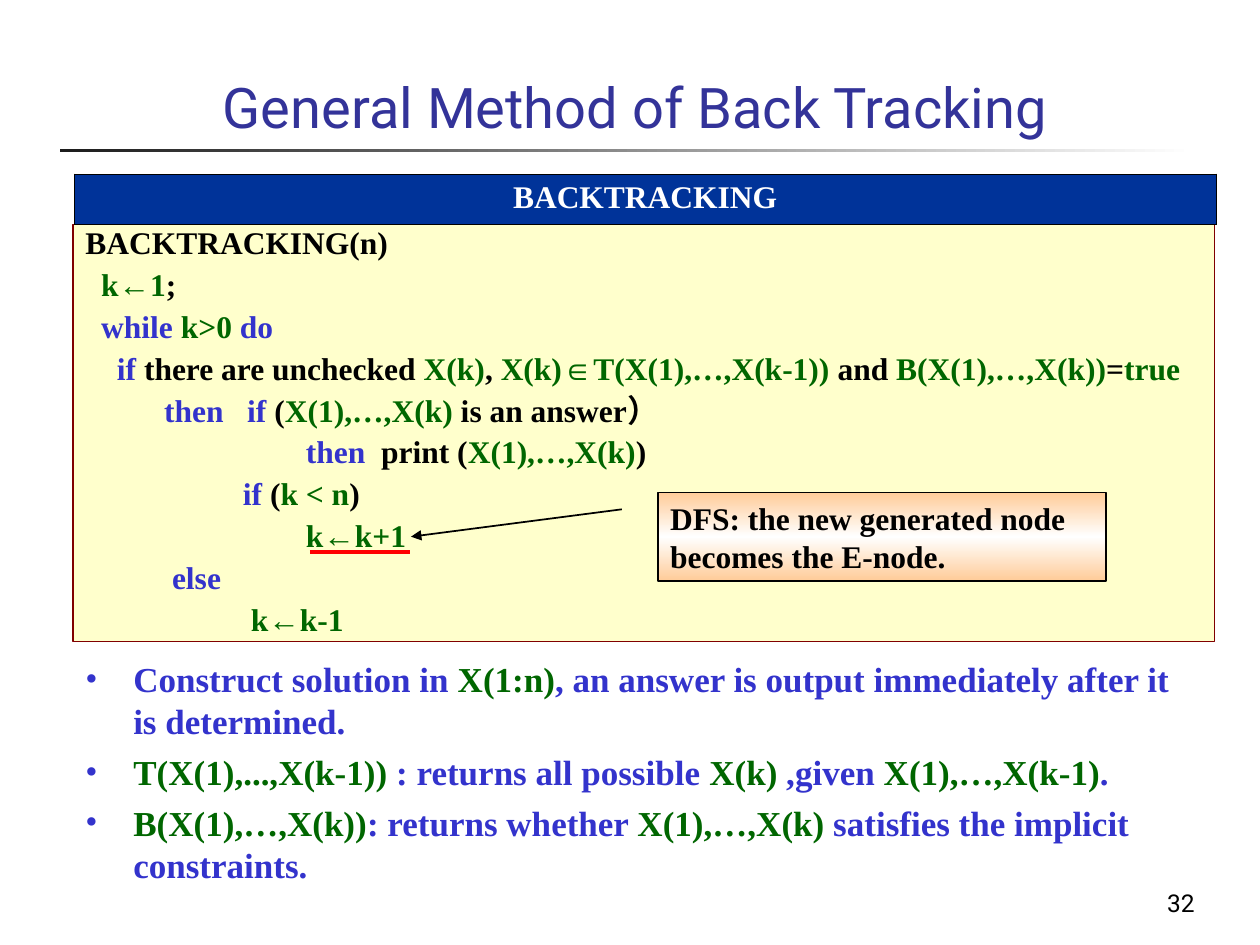
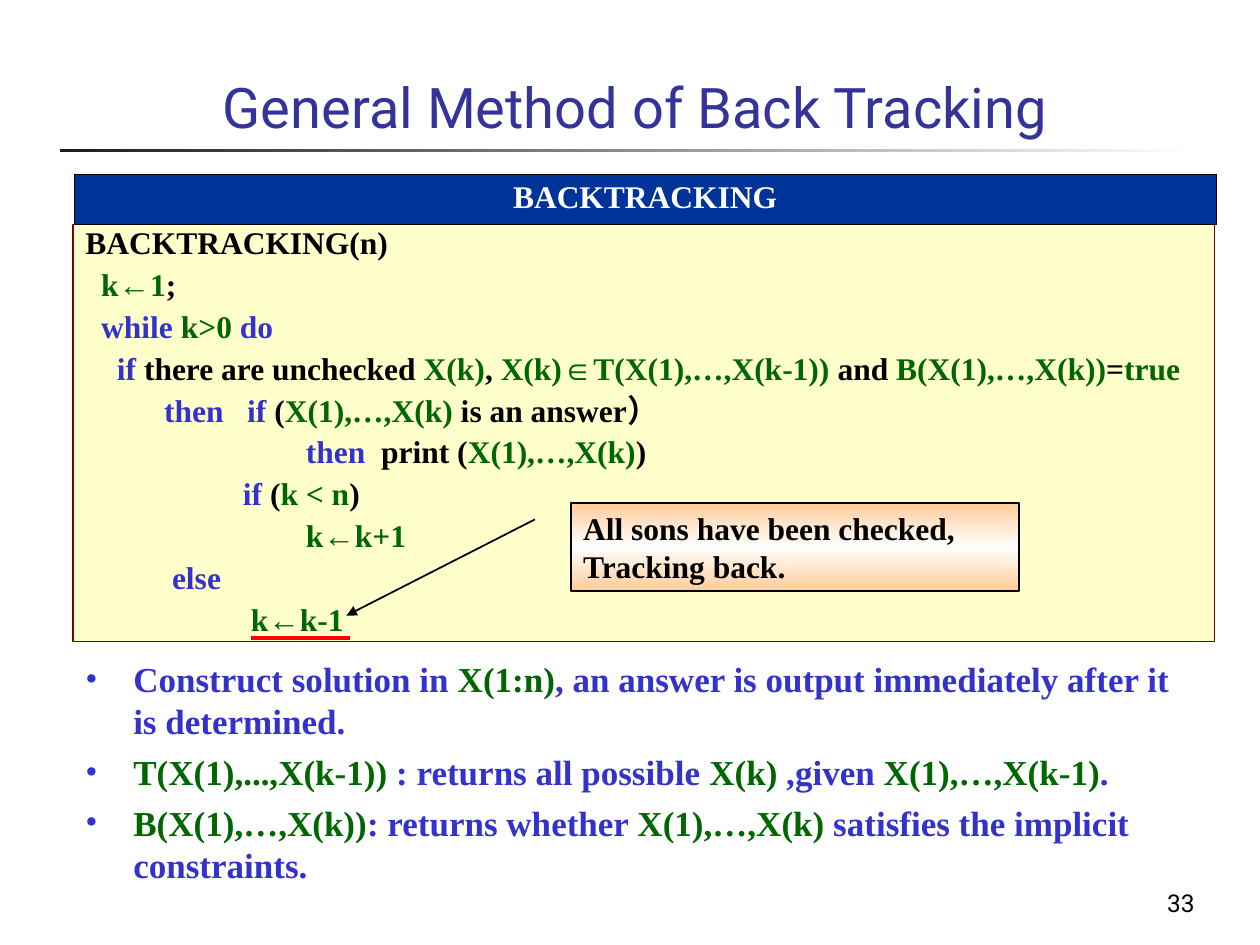
from dataclasses import dataclass
from typing import NamedTuple

from lxml import etree
from pptx import Presentation
from pptx import util as u
from pptx.dml.color import RGBColor
from pptx.enum import shapes, text
from pptx.oxml.ns import qn

SERIF, SANS, ARROW = "Times New Roman", "Roboto", "Arial"
INK, BLUE, GREEN, RED = "000000", "3333CC", "006600", "FF0000"
WHITE, TITLE, NAVY, CREAM, MAROON, PEACH = (
    "FFFFFF", "333399", "003399", "FFFFCC", "800000", "FFCC99")


class Box(NamedTuple):
    x: float
    y: float
    w: float
    h: float

    def place(self) -> list:
        return [u.Inches(n) for n in self]


class Run(NamedTuple):
    text: str
    color: str = INK
    font: str = SERIF


@dataclass
class Style:
    size: int
    bold: bool = True
    align: text.PP_ALIGN = text.PP_ALIGN.LEFT
    gap: float = 0
    lead: float = 1.0


@dataclass
class Step:
    """What differs from slide to slide."""
    number: int
    note: str
    box: Box
    tip: tuple[float, float]  # callout arrow end: down, across
    mark: tuple[float, float]  # left end of the red underline


def assign(left: str, right: str) -> list[Run]:
    return [Run(left, GREEN), Run("←", GREEN, ARROW), Run(right, GREEN)]


CODE = [
    [Run("BACKTRACKING(n)")],
    [Run("  "), *assign("k", "1"), Run(";")],
    [Run("  "), Run("while ", BLUE), Run("k>0 ", GREEN), Run("do", BLUE)],
    [Run("    "), Run("if", BLUE), Run(" there are unchecked "),
     Run("X(k)", GREEN), Run(", "), Run("X(k)∈T(X(1),…,X(k-1))", GREEN),
     Run(" and "), Run("B(X(1),…,X(k))", GREEN), Run("="), Run("true", GREEN)],
    [Run("          "), Run("then   if", BLUE), Run(" ("),
     Run("X(1),…,X(k)", GREEN), Run(" is an answer）")],
    [Run("                            "), Run("then", BLUE),
     Run("  print ("), Run("X(1),…,X(k)", GREEN), Run(")")],
    [Run("                    "), Run("if", BLUE), Run(" ("),
     Run("k < n", GREEN), Run(")")],
    [Run("\t            "), *assign("k", "k+1")],
    [Run("           "), Run("else", BLUE)],
    [Run("\t     "), *assign("k", "k-1")],
]
POINTS = [
    [Run("Construct solution in ", BLUE), Run("X(1:n)", GREEN),
     Run(", an answer is output immediately after it is determined.", BLUE)],
    [Run("T(X(1),...,X(k-1))", GREEN), Run(" : returns all possible ", BLUE),
     Run("X(k)", GREEN), Run(" ,given ", BLUE), Run("X(1),…,X(k-1)", GREEN),
     Run(".", BLUE)],
    [Run("B(X(1),…,X(k))", GREEN), Run(": returns whether ", BLUE),
     Run("X(1),…,X(k)", GREEN),
     Run(" satisfies the implicit constraints.", BLUE)],
]
STEPS = [
    Step(32, "DFS: the new generated node becomes the E-node.",
         Box(5.22, 3.91, 3.56, 0.7), (0.5, -0.55), (2.46, 4.38)),
    Step(33, "All sons have been checked, Tracking back.",
         Box(4.53, 3.99, 3.56, 0.7), (1.28, -0.5), (1.99, 5.06)),
]


def rgb(code: str) -> RGBColor:
    return RGBColor.from_string(code)


def child(parent, tag: str, **attrs: str):
    return etree.SubElement(parent, qn(tag), attrs)


def write(frame, lines: list[list[Run]], style: Style,
          anchor=text.MSO_ANCHOR.TOP) -> None:
    frame.word_wrap = True
    frame.vertical_anchor = anchor
    for i, line in enumerate(lines):
        para = frame.add_paragraph() if i else frame.paragraphs[0]
        para.alignment = style.align
        para.line_spacing = style.lead
        para.space_before = u.Pt(style.gap if i else 0)
        for part in line:
            run = para.add_run()
            run.text = part.text
            run.font.size, run.font.bold = u.Pt(style.size), style.bold
            run.font.name = part.font
            run.font.color.rgb = rgb(part.color)


def add_text(slide, box: Box, lines: list[list[Run]], style: Style,
             anchor=text.MSO_ANCHOR.TOP):
    frame = slide.shapes.add_textbox(*box.place()).text_frame
    write(frame, lines, style, anchor)
    return frame


def add_shape(slide, kind, box: Box, line: str = "", width: float = 1):
    shape = slide.shapes.add_shape(kind, *box.place())
    shape.shadow.inherit = False
    if line:
        shape.line.color.rgb = rgb(line)
        shape.line.width = u.Pt(width)
    else:
        shape.line.fill.background()
    return shape


def blend(shape, colors: list[str], angle: int) -> None:
    """Fill with evenly spaced gradient stops."""
    shape.fill.gradient()
    shape.fill.gradient_angle = angle
    stops = shape._element.spPr.find(qn("a:gradFill")).find(qn("a:gsLst"))
    for old in list(stops):
        stops.remove(old)
    for i, color in enumerate(colors):
        stop = child(stops, "a:gs", pos=str(100000 * i // (len(colors) - 1)))
        child(stop, "a:srgbClr", val=color)


def add_frame(slide) -> None:
    # Title and fading rule
    rule = add_shape(slide, shapes.MSO_SHAPE.RECTANGLE,
                     Box(0.48, 1.18, 9, 0.03))
    blend(rule, [WHITE, "1C1C1C"], 180)
    add_text(slide, Box(1.67, 0.17, 7.86, 0.99),
             [[Run("General Method of Back Tracking", TITLE, SANS)]],
             Style(32, bold=False), text.MSO_ANCHOR.BOTTOM)


def add_code(slide) -> None:
    panel = add_shape(slide, shapes.MSO_SHAPE.RECTANGLE,
                      Box(0.58, 1.78, 9.06, 3.31), MAROON, 0.75)
    panel.fill.solid()
    panel.fill.fore_color.rgb = rgb(CREAM)
    write(panel.text_frame, CODE, Style(18, gap=4.5, lead=0.9),
          text.MSO_ANCHOR.MIDDLE)
    for para in panel.text_frame.paragraphs:
        tabs = child(para._p.get_or_add_pPr(), "a:tabLst")
        child(tabs, "a:tab", pos=str(u.Inches(1)), algn="l")


def add_head(slide) -> None:
    # One-cell table above the code
    table = slide.shapes.add_table(
        1, 1, *Box(0.59, 1.38, 9.06, 0.4).place()).table
    cell = table.cell(0, 0)
    cell.fill.solid()
    cell.fill.fore_color.rgb = rgb(NAVY)
    write(cell.text_frame, [[Run("BACKTRACKING", WHITE)]],
          Style(18, align=text.PP_ALIGN.CENTER))
    props = cell._tc.get_or_add_tcPr()
    for i, side in enumerate("LRTB"):
        edge = etree.Element(qn(f"a:ln{side}"), w=str(u.Pt(0.45)))
        child(child(edge, "a:solidFill"), "a:srgbClr", val=INK)
        props.insert(i, edge)


def add_points(slide) -> None:
    frame = add_text(slide, Box(0.58, 5.17, 9, 1.97), POINTS,
                     Style(20, gap=5))
    for para in frame.paragraphs:
        props = para._p.get_or_add_pPr()
        props.set("marL", str(u.Inches(0.38)))
        props.set("indent", str(u.Inches(-0.38)))
        child(child(props, "a:buClr"), "a:srgbClr", val=BLUE)
        child(props, "a:buFont", typeface=SERIF)
        child(props, "a:buChar", char="•")


def add_note(slide, step: Step) -> None:
    # Callout with arrow, and underline of the line it explains
    note = add_shape(slide, shapes.MSO_SHAPE.LINE_CALLOUT_1, step.box, INK)
    for i, value in enumerate((0.19, -0.08, *step.tip)):
        note.adjustments[i] = value
    blend(note, [PEACH, WHITE, PEACH], 90)
    child(note.line._get_or_add_ln(), "a:tailEnd", type="triangle")
    write(note.text_frame, [[Run(step.note)]], Style(18))

    x, y = step.mark
    mark = slide.shapes.add_connector(
        shapes.MSO_CONNECTOR.STRAIGHT, u.Inches(x), u.Inches(y),
        u.Inches(x + 0.79), u.Inches(y))
    mark.line.color.rgb = rgb(RED)
    mark.line.width = u.Pt(2.25)
    child(mark._element.spPr, "a:effectLst")


def main() -> None:
    deck = Presentation()
    deck.slide_width, deck.slide_height = u.Inches(10), u.Inches(7.5)
    for step in STEPS:
        slide = deck.slides.add_slide(deck.slide_layouts[6])
        add_frame(slide)
        add_code(slide)
        add_head(slide)
        add_points(slide)
        add_note(slide, step)
        add_text(slide, Box(7.5, 6.83, 2.08, 0.5),
                 [[Run(str(step.number), INK, SANS)]],
                 Style(14, bold=False, align=text.PP_ALIGN.RIGHT),
                 text.MSO_ANCHOR.BOTTOM)
    deck.save("out.pptx")


if __name__ == "__main__":
    main()
